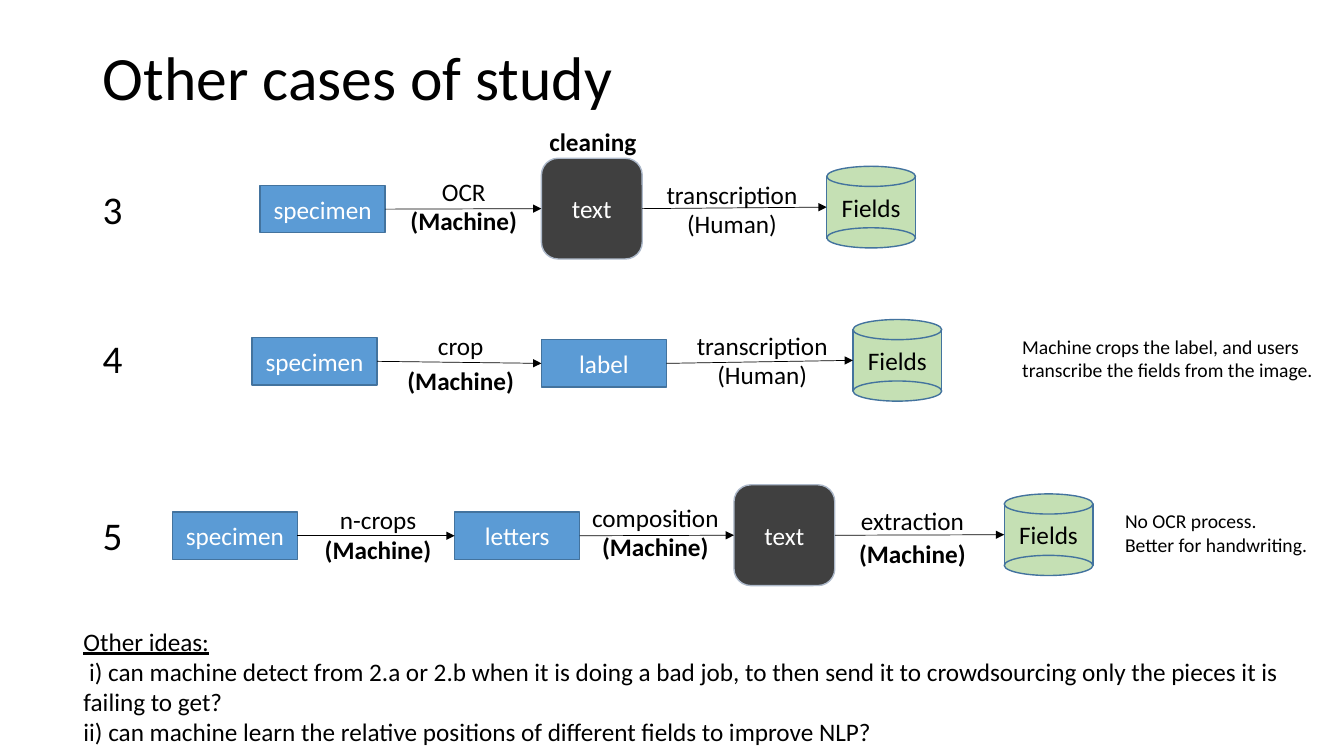
from lxml.etree import SubElement
from pptx import Presentation
from pptx.dml.color import RGBColor
from pptx.enum.shapes import MSO_CONNECTOR, MSO_SHAPE
from pptx.enum.text import MSO_ANCHOR, PP_ALIGN
from pptx.oxml.ns import qn
from pptx.util import Inches, Pt


def write(shape, text, size=18, color="000000", bold=False,
          align=PP_ALIGN.LEFT, anchor=MSO_ANCHOR.TOP, wrap=True):
    frame = shape.text_frame
    frame.text = text
    frame.word_wrap = wrap
    frame.vertical_anchor = anchor
    for paragraph in frame.paragraphs:
        paragraph.alignment = align
        for run in paragraph.runs:
            run.font.name = "Calibri"
            run.font.size = Pt(size)
            run.font.bold = bold
            run.font.color.rgb = RGBColor.from_string(color)


def add_block(preset, left, top, width, height, fill, line):
    block = slide.shapes.add_shape(
        preset, Inches(left), Inches(top), Inches(width), Inches(height))
    block.shadow.inherit = False
    block.fill.solid()
    block.fill.fore_color.rgb = RGBColor.from_string(fill)
    block.line.color.rgb = RGBColor.from_string(line)
    block.line.width = Pt(1)
    return block


deck = Presentation()
deck.slide_width, deck.slide_height = Inches(13.33), Inches(7.5)
slide = deck.slides.add_slide(deck.slide_layouts[5])

# Title
title = slide.shapes.title
title.left, title.top = Inches(0.92), Inches(0.4)
title.width, title.height = Inches(11.5), Inches(0.8)
write(title, "Other cases of study", 44, anchor=MSO_ANCHOR.MIDDLE)
title.text_frame.paragraphs[0].line_spacing = 0.9

# Stage kinds: preset, width, height, fill, line, font colour
KINDS = {
    "item": (MSO_SHAPE.RECTANGLE, 1.24, 0.47, "5B9BD5", "43739E", "FFFFFF"),
    "text": (MSO_SHAPE.ROUNDED_RECTANGLE, 1, 1, "404040", "ADB9CA", "FFFFFF"),
    "store": (MSO_SHAPE.RECTANGLE, 0.88, 0.61, "C5E0B4", "43739E", "000000"),
}
LID = 0.2

# Cases: number, number top, stages (kind, name, left, top),
# steps between stages (centre, action, action top, actor, actor top)
cases = [
    ("3", 1.79,
     [("item", "specimen", 2.58, 1.84), ("text", "text", 5.37, 1.57),
      ("store", "Fields", 8.2, 1.75)],
     [(4.6, "OCR", 1.7, "(Machine)", 1.99),
      (7.26, "transcription", 1.73, "(Human)", 2.02)]),
    ("4", 3.27,
     [("item", "specimen", 2.5, 3.35), ("item", "label", 5.37, 3.37),
      ("store", "Fields", 8.46, 3.27)],
     [(4.57, "crop", 3.23, "(Machine)", 3.58),
      (7.56, "transcription", 3.23, "(Human)", 3.52)]),
    ("5", 5.02,
     [("item", "specimen", 1.71, 5.08), ("item", "letters", 4.51, 5.08),
      ("text", "text", 7.28, 4.81), ("store", "Fields", 9.96, 5)],
     [(3.75, "n-crops", 4.95, "(Machine)", 5.25),
      (6.5, "composition", 4.93, "(Machine)", 5.22),
      (9.05, "extraction", 4.96, "(Machine)", 5.29)]),
]
captions = [(5.88, 1.2, "cleaning", True)]

for number, number_top, stages, steps in cases:
    case_number = slide.shapes.add_textbox(
        Inches(0.92), Inches(number_top), Inches(0.4), Inches(0.57))
    write(case_number, number, 28, wrap=False)

    # Stages; a store is a body with an ellipse at each end
    blocks = []
    for kind, name, left, top in stages:
        preset, width, height, fill, line, color = KINDS[kind]
        block = add_block(preset, left, top, width, height, fill, line)
        write(block, name, color=color, align=PP_ALIGN.CENTER,
              anchor=MSO_ANCHOR.MIDDLE, wrap=False)
        blocks.append(block)
        if kind == "store":
            for edge in (top + height, top):
                add_block(MSO_SHAPE.OVAL, left, edge - LID / 2,
                          width, LID, fill, line)

    # Arrows from the right side of a stage to the left side of the next
    for start, end in zip(blocks, blocks[1:]):
        arrow = slide.shapes.add_connector(MSO_CONNECTOR.STRAIGHT, 0, 0, 0, 0)
        arrow.begin_connect(start, 3)
        arrow.end_connect(end, 1)
        arrow.line.color.rgb = RGBColor.from_string("000000")
        arrow.line.width = Pt(0.5)
        SubElement(arrow.line._get_or_add_ln(), qn("a:tailEnd"), type="triangle")
        SubElement(arrow._element.spPr, qn("a:effectLst"))

    for centre, action, action_top, actor, actor_top in steps:
        captions.append((centre, action_top, action, False))
        captions.append((centre, actor_top, actor, actor == "(Machine)"))

# Captions around the arrows
for centre, top, words, bold in captions:
    caption = slide.shapes.add_textbox(
        Inches(centre - 0.75), Inches(top), Inches(1.5), Inches(0.4))
    write(caption, words, bold=bold, align=PP_ALIGN.CENTER, wrap=False)

# Side notes
for left, top, width, words in [
    (10.04, 3.27, 3.11, "Machine crops the label, and users\n"
                        "transcribe the fields from the image."),
    (11.06, 5, 2.1, "No OCR process.\nBetter for handwriting."),
]:
    remark = slide.shapes.add_textbox(
        Inches(left), Inches(top), Inches(width), Inches(0.57))
    write(remark, words, 14, wrap=False)

# Other ideas
ideas = slide.shapes.add_textbox(
    Inches(0.73), Inches(6.16), Inches(12.1), Inches(1.31))
write(ideas, "Other ideas:\n"
      " i) can machine detect from 2.a or 2.b when it is doing a bad job, to then "
      "send it to crowdsourcing only the pieces it is failing to get?\n"
      "ii) can machine learn the relative positions of different fields "
      "to improve NLP?")
ideas.text_frame.paragraphs[0].runs[0].font.underline = True

deck.save("out.pptx")
